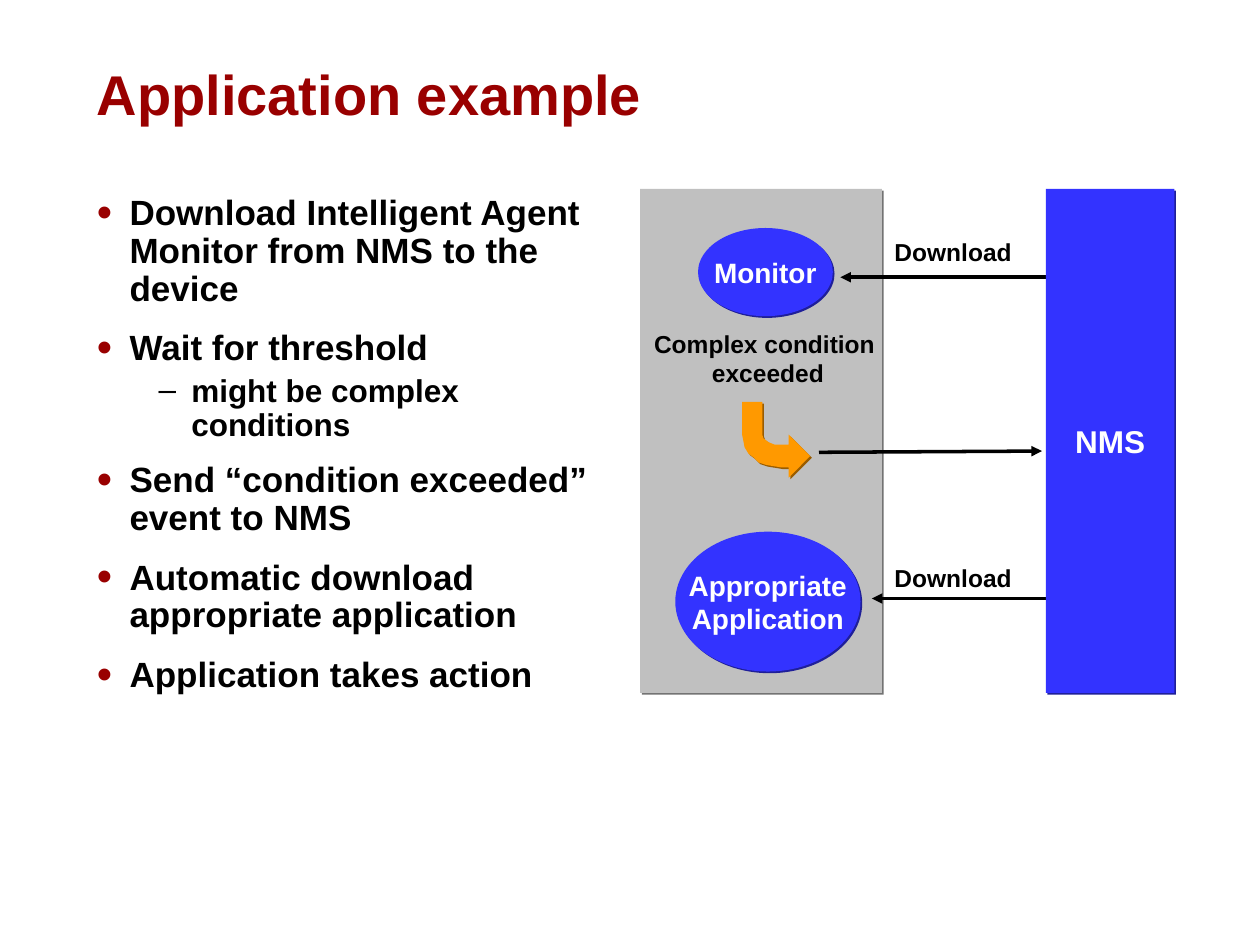
from dataclasses import dataclass

from lxml.etree import SubElement
from pptx import Presentation
from pptx.dml.color import RGBColor as RGB
from pptx.enum.shapes import MSO_CONNECTOR as Connector, MSO_SHAPE as Preset
from pptx.enum.text import MSO_ANCHOR as Anchor, PP_ALIGN as Align
from pptx.oxml.ns import qn
from pptx.util import Inches, Pt


@dataclass(frozen=True)
class Theme:
    font: str = "Arial"
    accent: str = "990000"
    ink: str = "000000"
    paper: str = "FFFFFF"
    device: str = "C0C0C0"
    device_shade: str = "737373"
    node: str = "3333FF"
    node_shade: str = "1F1F99"
    event: str = "FF9900"
    event_shade: str = "995C00"
    title: int = 32
    body: int = 20
    sub_body: int = 18
    node_text: int = 16
    label: int = 14


def inches(*lengths):
    return [Inches(length) for length in lengths]


class SlideBuilder:
    def __init__(self, slide, theme):
        self.slide = slide
        self.theme = theme

    def fill_text(self, frame, lines, size, color, align=Align.LEFT):
        frame.text = "\n".join(lines)
        for paragraph in frame.paragraphs:
            paragraph.alignment = align
            self.style_runs(paragraph, size, color)

    def style_runs(self, paragraph, size, color):
        for run in paragraph.runs:
            run.font.name = self.theme.font
            run.font.size = Pt(size)
            run.font.bold = True
            run.font.color.rgb = RGB.from_string(color)

    def paint(self, shape, fill, shade):
        """Fill a borderless shape and give it a hard shadow to the lower right."""
        shape.fill.solid()
        shape.fill.fore_color.rgb = RGB.from_string(fill)
        shape.line.fill.background()
        shape.shadow.inherit = False
        effects = shape.element.spPr.find(qn("a:effectLst"))
        shadow = SubElement(effects, qn("a:outerShdw"), dist=str(Pt(1.4)),
                            dir="2700000", algn="tl", rotWithShape="0")
        SubElement(shadow, qn("a:srgbClr"), val=shade)

    def block(self, preset, box, fill, shade, lines=(), size=None):
        shape = self.slide.shapes.add_shape(preset, *inches(*box))
        self.paint(shape, fill, shade)
        if lines:
            frame = shape.text_frame
            frame.word_wrap = False
            frame.vertical_anchor = Anchor.MIDDLE
            self.fill_text(frame, lines, size, self.theme.paper, Align.CENTER)

    def outline(self, points, fill, shade):
        start, *rest = [tuple(inches(*point)) for point in points]
        builder = self.slide.shapes.build_freeform(*start)
        builder.add_line_segments(rest, close=True)
        self.paint(builder.convert_to_shape(), fill, shade)

    def arrow(self, start, end):
        line = self.slide.shapes.add_connector(
            Connector.STRAIGHT, *inches(*start, *end))
        line.line.width = Pt(2)
        line.line.color.rgb = RGB.from_string(self.theme.ink)
        properties = line.element.spPr
        SubElement(properties.find(qn("a:ln")), qn("a:tailEnd"), type="triangle")
        SubElement(properties, qn("a:effectLst"))

    def text(self, box, lines, size, color, align=Align.LEFT, wrap=True):
        frame = self.slide.shapes.add_textbox(*inches(*box)).text_frame
        frame.word_wrap = wrap
        self.fill_text(frame, lines, size, color, align)

    def label(self, box, *lines):
        self.text(box, lines, self.theme.label, self.theme.ink, Align.CENTER, False)

    def bullets(self, box, items):
        """Add (text, level, space after) items as a two-level list."""
        theme = self.theme
        levels = [(0.26, "•", theme.accent, 125, theme.body),
                  (0.75, "–", theme.ink, 100, theme.sub_body)]
        frame = self.slide.shapes.add_textbox(*inches(*box)).text_frame
        frame.word_wrap = True
        frame.text = "\n".join(text for text, _, _ in items)
        for paragraph, (_, level, space_after) in zip(frame.paragraphs, items):
            margin, mark, mark_color, mark_scale, size = levels[level]
            paragraph.level = level
            properties = paragraph._p.get_or_add_pPr()
            properties.set("marL", str(Inches(margin)))
            properties.set("indent", str(Inches(-0.26)))
            color = SubElement(properties, qn("a:buClr"))
            SubElement(color, qn("a:srgbClr"), val=mark_color)
            SubElement(properties, qn("a:buSzPct"), val=str(mark_scale * 1000))
            SubElement(properties, qn("a:buFont"), typeface=theme.font)
            SubElement(properties, qn("a:buChar"), char=mark)
            paragraph.line_spacing = 0.9
            paragraph.space_after = Pt(space_after)
            self.style_runs(paragraph, size, theme.ink)


EVENT_ARROW = [
    (6.43, 3.62), (6.26, 3.79), (6.26, 3.71), (6.2, 3.71), (6.14, 3.7),
    (6.08, 3.69), (6.02, 3.67), (5.98, 3.63), (5.94, 3.6), (5.91, 3.55),
    (5.9, 3.5), (5.89, 3.45), (5.89, 3.19), (6.05, 3.19), (6.05, 3.45),
    (6.06, 3.48), (6.1, 3.51), (6.15, 3.53), (6.2, 3.53), (6.26, 3.53),
    (6.26, 3.45),
]

STEPS = [
    ("Download Intelligent Agent Monitor from NMS to the device", 0, 12.5),
    ("Wait for threshold", 0, 3.7),
    ("might be complex conditions", 1, 11.2),
    ("Send “condition exceeded” event to NMS", 0, 12.5),
    ("Automatic download appropriate application", 0, 12.5),
    ("Application takes action", 0, 12.5),
]


def main():
    deck = Presentation()
    deck.slide_width, deck.slide_height = inches(10, 7.5)
    theme = Theme()
    page = SlideBuilder(deck.slides.add_slide(deck.slide_layouts[6]), theme)
    node = (theme.node, theme.node_shade)

    page.block(Preset.RECTANGLE, (5.08, 1.5, 1.92, 4),
               theme.device, theme.device_shade)
    page.block(Preset.OVAL, (5.54, 1.81, 1.07, 0.7), *node,
               ["Monitor"], theme.node_text)
    page.block(Preset.OVAL, (5.36, 4.22, 1.47, 1.11), *node,
               ["Appropriate", "Application"], theme.node_text)

    for arrow_left, arrow_y, label_top in [(6.67, 2.2, 1.83), (6.92, 4.75, 4.42)]:
        page.arrow((arrow_left + 2.01, arrow_y), (arrow_left, arrow_y))
        page.label((7, label_top, 1.13, 0.33), "Download")
    page.arrow((6.5, 3.59), (8.27, 3.58))
    page.label((5.09, 2.56, 2.01, 0.56), "Complex condition ", "exceeded")

    page.block(Preset.RECTANGLE, (8.3, 1.5, 1.02, 4), *node,
               ["NMS"], theme.sub_body)
    page.outline(EVENT_ARROW, theme.event, theme.event_shade)

    page.text((0.67, 0.42, 8.83, 0.83), ["Application example"],
              theme.title, theme.accent)
    page.bullets((0.67, 1.5, 4.33, 5.58), STEPS)
    deck.save("out.pptx")


if __name__ == "__main__":
    main()
